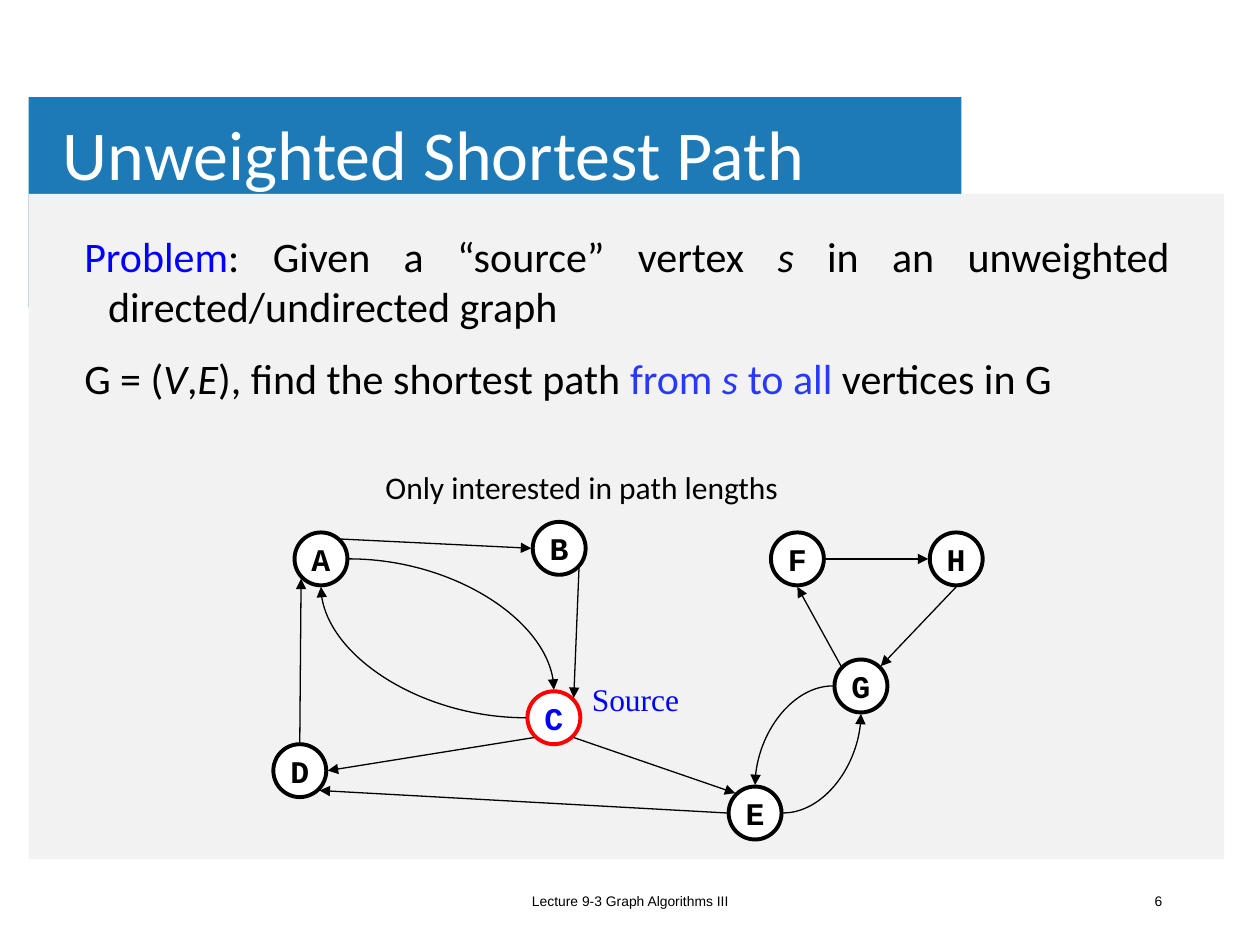
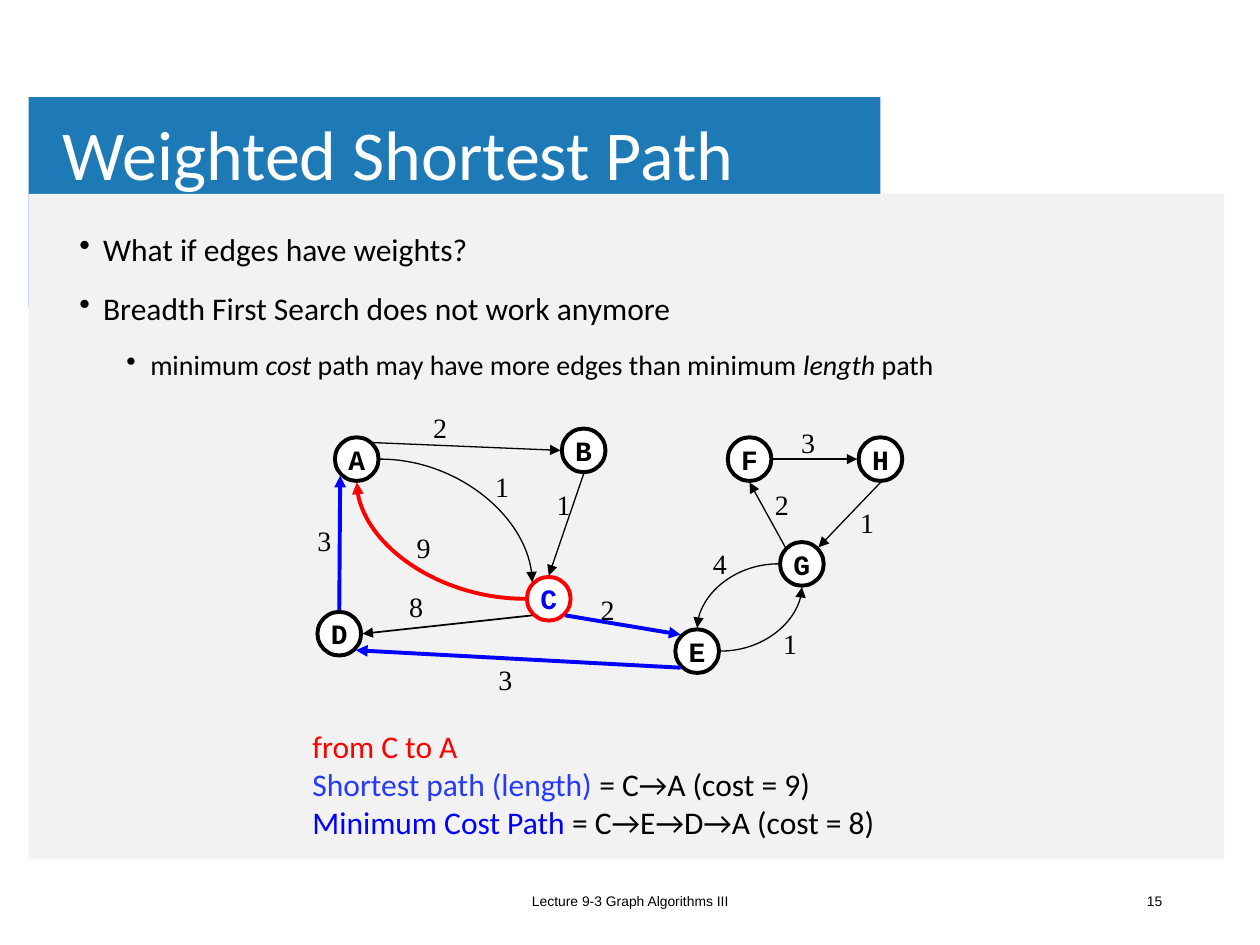
import pptx
import pptx.dml.color
import pptx.enum.shapes
import pptx.enum.text
import pptx.oxml
import pptx.oxml.ns
import pptx.util

Cm, Pt = pptx.util.Cm, pptx.util.Pt
qn = pptx.oxml.ns.qn
SHAPE = pptx.enum.shapes.MSO_SHAPE
CONNECTOR = pptx.enum.shapes.MSO_CONNECTOR
ALIGN = pptx.enum.text.PP_ALIGN
MIDDLE = pptx.enum.text.MSO_ANCHOR.MIDDLE

BLACK, WHITE, RED, BLUE = "000000", "FFFFFF", "FF0000", "0000FF"
BAND, PANEL, ACCENT = "1E7AB6", "F2F2F2", "263AF8"
FOOTER = "Lecture 9-3 Graph Algorithms III"

# Node positions are counted in fifths of a node's diameter.
NODE_SIZE, GRID_WIDTH = 5, 67
NODES = {"A": (2, 1), "C": (24, 16), "B": (24.5, 0), "D": (0, 21),
         "F": (47, 1), "H": (62, 1), "G": (53, 13), "E": (43, 25)}
SIDES = {"n": (0, -1), "s": (0, 1), "w": (-1, 0), "e": (1, 0),
         "nw": (-0.71, -0.71), "ne": (0.71, -0.71),
         "sw": (-0.71, 0.71), "se": (0.71, 0.71)}
EDGES = {"AC": ("e", "n"), "CA": ("w", "s"), "AB": ("ne", "w"),
         "BC": ("se", "ne"), "CD": ("sw", "e"), "DA": ("n", "sw"),
         "CE": ("se", "nw"), "ED": ("w", "se"), "GF": ("nw", "s"),
         "FH": ("e", "w"), "HG": ("s", "ne"), "GE": ("w", "n"),
         "EG": ("e", "s")}
CURVED = {"AC", "CA", "GE", "EG"}
EDGE_GAP = 0.03


def rgb(value):
    return pptx.dml.color.RGBColor.from_string(value)


def set_font(font, fmt):
    for name, value in fmt.items():
        if name == "color":
            font.color.rgb = rgb(value)
        else:
            setattr(font, name, value)


def font(size, name="Calibri", color=BLACK, **more):
    return {"size": Pt(size), "name": name, "color": color, **more}


def add_bullet(p):
    pPr = p._p.get_or_add_pPr()
    bu = pptx.oxml.parse_xml(
        '<a:buChar xmlns:a="http://schemas.openxmlformats.org/drawingml/2006/main" char="•"/>')
    pPr.append(bu)


def fill_text(sp, paras, fmt, frame=None, bullet=False, indent=None, **para):
    """Each paragraph is a list of runs: a string, or a string with its own format."""
    tf = sp.text_frame
    for name, value in {"word_wrap": True, **(frame or {})}.items():
        setattr(tf, name, value)
    for i, runs in enumerate(paras):
        p = tf.paragraphs[0] if i == 0 else tf.add_paragraph()
        for name, value in para.items():
            if not (i == 0 and name == "space_before"):
                setattr(p, name, value)
        if indent:
            pPr = p._p.get_or_add_pPr()
            pPr.set("marL", str(Cm(indent[i])))
            pPr.set("indent", str(-Cm(indent[0])))
        if bullet:
            add_bullet(p)
        for run in runs:
            words, own = run if isinstance(run, tuple) else (run, {})
            r = p.add_run()
            r.text = words
            set_font(r.font, {**fmt, **own})
    return tf


def add_text(slide, box, paras, fmt, **options):
    sp = slide.shapes.add_textbox(*map(Cm, box))
    return fill_text(sp, paras, fmt, **options)


def add_solid(slide, kind, box, fill, line=None):
    sp = slide.shapes.add_shape(kind, *map(Cm, box))
    sp.shadow.inherit = False
    sp.fill.solid()
    sp.fill.fore_color.rgb = rgb(fill)
    if line:
        sp.line.color.rgb = rgb(line)
        sp.line.width = Pt(2.25)
    else:
        sp.line.fill.background()
    return sp


def add_frame(prs, title, band_width, number):
    """A new slide with its title band, panel and footer."""
    slide = prs.slides.add_slide(prs.slide_layouts[6])
    add_solid(slide, SHAPE.RECTANGLE, (0.58, 1.96, band_width, 4.24), BAND)
    add_solid(slide, SHAPE.RECTANGLE, (0.58, 3.91, 24.1, 13.41), PANEL)
    margins = {"margin_left": Cm(0.18), "margin_right": Cm(0.18),
               "margin_top": Cm(0.1), "margin_bottom": Cm(0.1)}
    add_text(slide, (1.09, 1.93, 20.4, 2.49), [[title]], font(40, color=WHITE),
             frame={"vertical_anchor": MIDDLE, **margins}, line_spacing=0.9)
    for left, width, words, align in ((8.41, 8.59, FOOTER, ALIGN.CENTER),
                                      (17.96, 5.72, str(number), ALIGN.RIGHT)):
        add_text(slide, (left, 17.65, width, 1.02), [[words]], font(7.9, "Arial"),
                 frame={"vertical_anchor": MIDDLE}, alignment=align)
    return slide


def add_arrow(slide, start, end, curved, color=BLACK, width=0.75):
    (x1, y1), (x2, y2) = start, end
    if curved:
        box = min(x1, x2), min(y1, y2), max(x1, x2), max(y1, y2)
        sp = slide.shapes.add_connector(CONNECTOR.CURVE, *map(Cm, box))
        spPr = sp._element.spPr
        spPr.find(qn("a:prstGeom")).set("prst", "curvedConnector2")
        xfrm = spPr.find(qn("a:xfrm"))
        if x2 < x1:
            xfrm.set("rot", "10800000")
        if (x2 > x1) != (y2 > y1):
            xfrm.set("flipV", "1")
    else:
        sp = slide.shapes.add_connector(CONNECTOR.STRAIGHT, *map(Cm, (x1, y1, x2, y2)))
        spPr = sp._element.spPr
    sp.line.color.rgb = rgb(color)
    sp.line.width = Pt(width)
    tail = sp.line._get_or_add_ln().makeelement(qn("a:tailEnd"), {"type": "triangle"})
    sp.line._get_or_add_ln().append(tail)
    spPr.append(spPr.makeelement(qn("a:effectLst"), {}))


def add_graph(slide, box, size, moved=None, sides=None, styles=None):
    """Draw the graph in box (left, top, width), with changes to the shared layout."""
    left, top, width = box
    unit = width / GRID_WIDTH
    diameter = NODE_SIZE * unit
    nodes = {**NODES, **(moved or {})}
    for name, (col, row) in nodes.items():
        is_source = name == "C"
        sp = add_solid(slide, SHAPE.OVAL,
                       (left + col * unit, top + row * unit, diameter, diameter),
                       WHITE, RED if is_source else BLACK)
        fill_text(sp, [[name]],
                  font(size, "Courier New", BLUE if is_source else BLACK, bold=True),
                  frame={"word_wrap": False, "vertical_anchor": MIDDLE},
                  alignment=ALIGN.CENTER)

    def port(name, side):
        reach = diameter / 2 + EDGE_GAP
        return [origin + at * unit + diameter / 2 + reach * way
                for origin, at, way in zip((left, top), nodes[name], SIDES[side])]

    for edge, (out, into) in {**EDGES, **(sides or {})}.items():
        add_arrow(slide, port(edge[0], out), port(edge[1], into),
                  edge in CURVED, **(styles or {}).get(edge, {}))


def add_weights(slide, box, weights):
    left, top, _ = box
    for x, y, weight in weights:
        add_text(slide, (left + x, top + y, 1.09, 0.94), [[str(weight)]],
                 font(16, "Times New Roman"))


def unweighted_slide(prs):
    slide = add_frame(prs, "Unweighted Shortest Path", 18.8, 6)
    italic, accent = {"italic": True}, {"color": ACCENT}
    tf = add_text(
        slide, (1.45, 4.52, 22.38, 3.43),
        [[("Problem", {"color": BLUE}), ": Given a “source” vertex ", ("s", italic),
          " in an unweighted directed/undirected graph"],
         ["G = (", ("V", italic), ",", ("E", italic), "), find the shortest path ",
          ("from ", accent), ("s", {**accent, **italic}), (" to all ", accent),
          "vertices in G"]],
        font(24), indent=(0.48, 0.48), space_before=Pt(12))
    tf.paragraphs[0].alignment = ALIGN.JUSTIFY
    graph = left, top, _ = 5.51, 10.52, 14.3
    add_graph(slide, graph, 18)
    add_text(slide, (left + 6.17, top + 3.07, 3.28, 1.02), [["Source"]],
             font(18, "Times New Roman", BLUE))
    add_text(slide, (5.89, 9.3, 11.68, 1.02), [["Only interested in path lengths"]],
             font(18), frame={"vertical_anchor": MIDDLE}, alignment=ALIGN.CENTER)


def weighted_slide(prs):
    slide = add_frame(prs, "Weighted Shortest Path", 17.17, 15)
    small = {"size": Pt(16)}
    small_italic = {**small, "italic": True}
    tf = add_text(
        slide, (1.35, 4.52, 22.3, 4.14),
        [["What if edges have weights?"],
         ["Breadth First Search does not work anymore"],
         [("minimum ", small), ("cost", small_italic),
          (" path may have more edges than minimum ", small),
          ("length", small_italic), (" path", small)]],
        font(18), bullet=True, indent=(0.48, 0.48, 1.43), space_before=Pt(12))
    tf.paragraphs[2].level = 1
    graph = 6.4, 8.64, 11.79
    cheapest = {"color": BLUE, "width": 2.25}
    add_graph(slide, graph, 16,
              moved={"B": (28, 0), "C": (24, 17), "E": (41, 23)},
              sides={"AC": ("e", "nw"), "BC": ("s", "n"), "ED": ("sw", "se")},
              styles={"CA": {"color": RED, "width": 2.25}, "CD": {"width": 1},
                      "CE": cheapest, "ED": cheapest, "DA": cheapest})
    add_weights(slide, graph, [
        (2.08, -0.48, 2), (9.5, -0.18, 3), (8.97, 1.07, 2), (10.69, 1.42, 1),
        (9.14, 3.86, 1), (7.72, 2.26, 4), (5.46, 3.18, 2), (4.57, 1.07, 1),
        (3.33, 0.71, 1), (1.75, 1.93, 9), (-0.25, 1.78, 3), (1.6, 3.12, 8),
        (3.4, 4.6, 3)])
    add_text(slide, (6.05, 14.53, 14.88, 2.57),
             [[("from C to A", {"color": RED})],
              [("Shortest path (length) ", {"color": ACCENT}), "= C→A (cost = 9)"],
              [("Minimum Cost Path ", {"color": BLUE}), "= C→E→D→A (cost = 8)"]],
             font(18))


def main():
    prs = pptx.Presentation()
    prs.slide_width, prs.slide_height = Cm(25.4), Cm(19.05)
    unweighted_slide(prs)
    weighted_slide(prs)
    prs.save("out.pptx")


if __name__ == "__main__":
    main()
